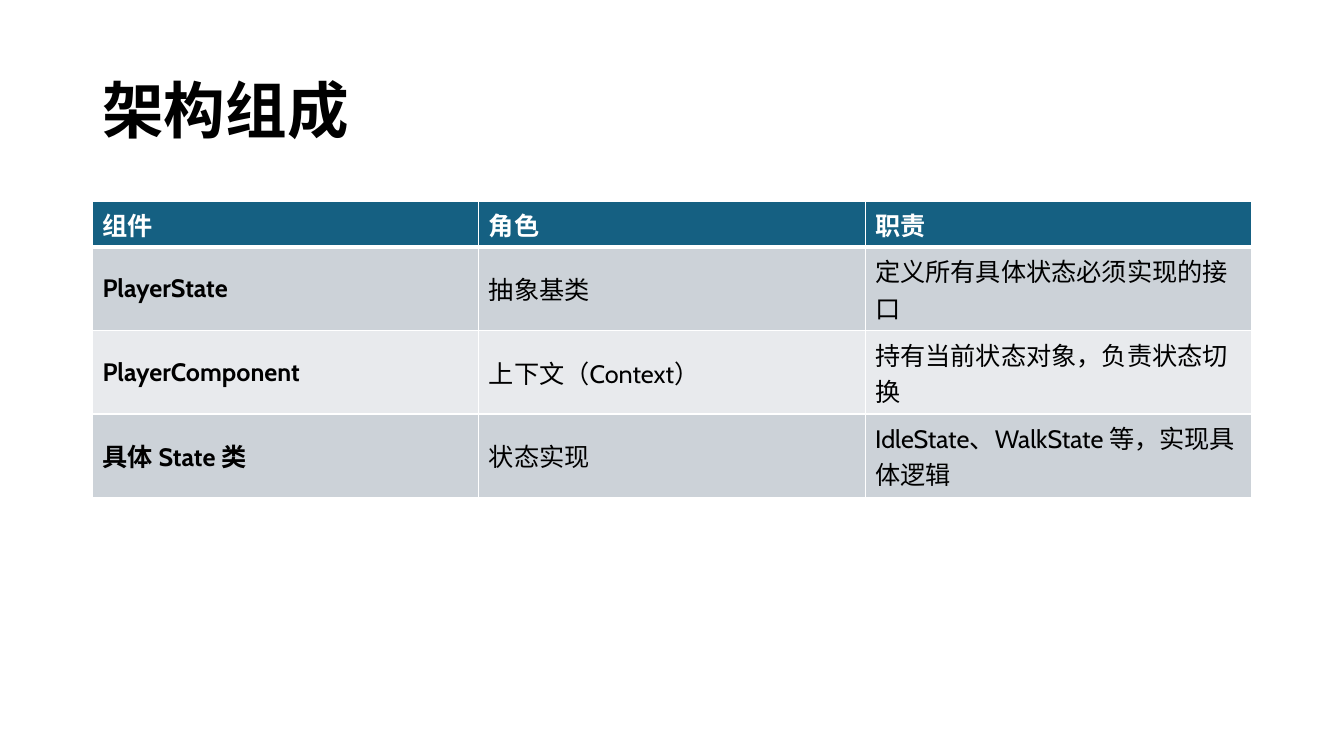
from lxml.etree import SubElement
from pptx import Presentation
from pptx.dml.color import RGBColor
from pptx.enum.text import MSO_ANCHOR
from pptx.oxml.ns import qn
from pptx.util import Cm, Pt

TITLE = "架构组成"
HEADER = ("组件", "角色", "职责")
COMPONENTS = [
    ("PlayerState", "抽象基类", "定义所有具体状态必须实现的接口"),
    ("PlayerComponent", "上下文（Context）", "持有当前状态对象，负责状态切换"),
    ("具体 State 类", "状态实现", "IdleState、WalkState 等，实现具体逻辑"),
]
FONT = "Cabin"
WHITE, BLACK, TEAL = "FFFFFF", "000000", "156082"
BANDS = ("CCD2D8", "E8EAED")
LEFT, WIDTH = 2.33, 29.21
HEADER_HEIGHT, BODY_HEIGHT = 1.16, 2.1


def color(value):
    return RGBColor.from_string(value)


def write(paragraph, text, size, ink, bold):
    run = paragraph.add_run()
    run.text = text
    run.font.name = FONT
    run.font.size = Pt(size)
    run.font.bold = bold
    run.font.color.rgb = color(ink)


def draw_borders(cell, bottom, top):
    properties = cell._tc.get_or_add_tcPr()
    widths = {"a:lnL": 1, "a:lnR": 1, "a:lnT": top, "a:lnB": bottom}
    for position, (side, width) in enumerate(widths.items()):
        border = SubElement(properties, qn(side), w=str(Pt(width)))
        fill = SubElement(border, qn("a:solidFill"))
        SubElement(fill, qn("a:srgbClr"), val=WHITE)
        properties.insert(position, border)


def add_title(slide):
    title = slide.shapes.add_textbox(Cm(LEFT), Cm(1.01), Cm(WIDTH), Cm(3.68))
    frame = title.text_frame
    frame.word_wrap = True
    frame.vertical_anchor = MSO_ANCHOR.MIDDLE
    paragraph = frame.paragraphs[0]
    paragraph.line_spacing = 0.9
    write(paragraph, TITLE, 44, BLACK, True)


def add_components(slide):
    rows = [HEADER, *COMPONENTS]
    height = HEADER_HEIGHT + BODY_HEIGHT * len(COMPONENTS)
    table = slide.shapes.add_table(
        len(rows), len(HEADER), Cm(LEFT), Cm(5.07), Cm(WIDTH), Cm(height)
    ).table
    for column in table.columns:
        column.width = Cm(WIDTH / len(HEADER))
    for r, texts in enumerate(rows):
        is_header = r == 0
        table.rows[r].height = Cm(HEADER_HEIGHT if is_header else BODY_HEIGHT)
        background = TEAL if is_header else BANDS[(r - 1) % 2]
        for c, text in enumerate(texts):
            cell = table.cell(r, c)
            cell.vertical_anchor = MSO_ANCHOR.MIDDLE
            cell.fill.solid()
            cell.fill.fore_color.rgb = color(background)
            draw_borders(cell, bottom=3 if is_header else 1, top=3 if r == 1 else 1)
            write(cell.text_frame.paragraphs[0], text, 18,
                  WHITE if is_header else BLACK, is_header or c == 0)


def main():
    deck = Presentation()
    deck.slide_width, deck.slide_height = Cm(33.87), Cm(19.05)
    slide = deck.slides.add_slide(deck.slide_layouts[6])
    add_title(slide)
    add_components(slide)
    deck.save("out.pptx")


if __name__ == "__main__":
    main()
